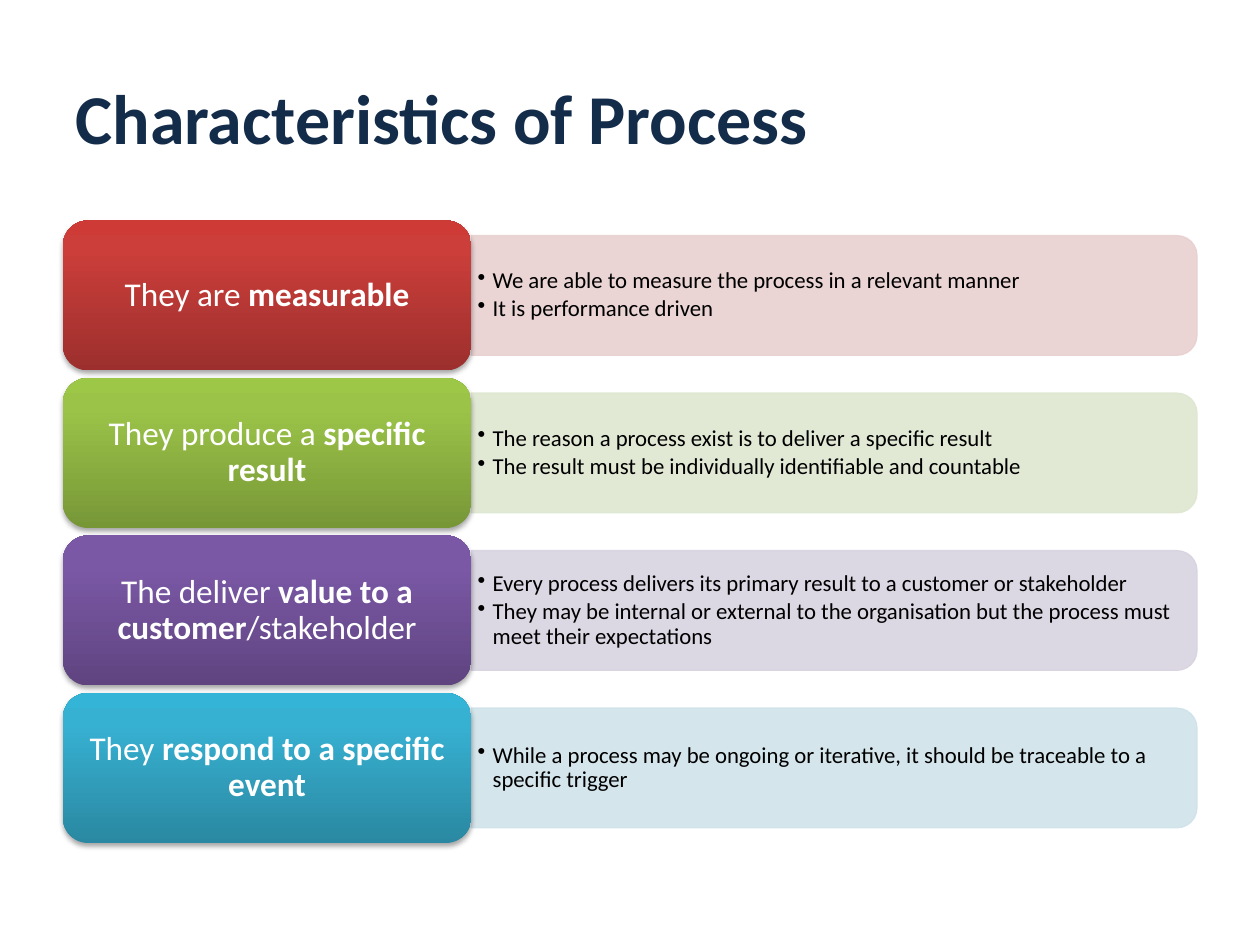
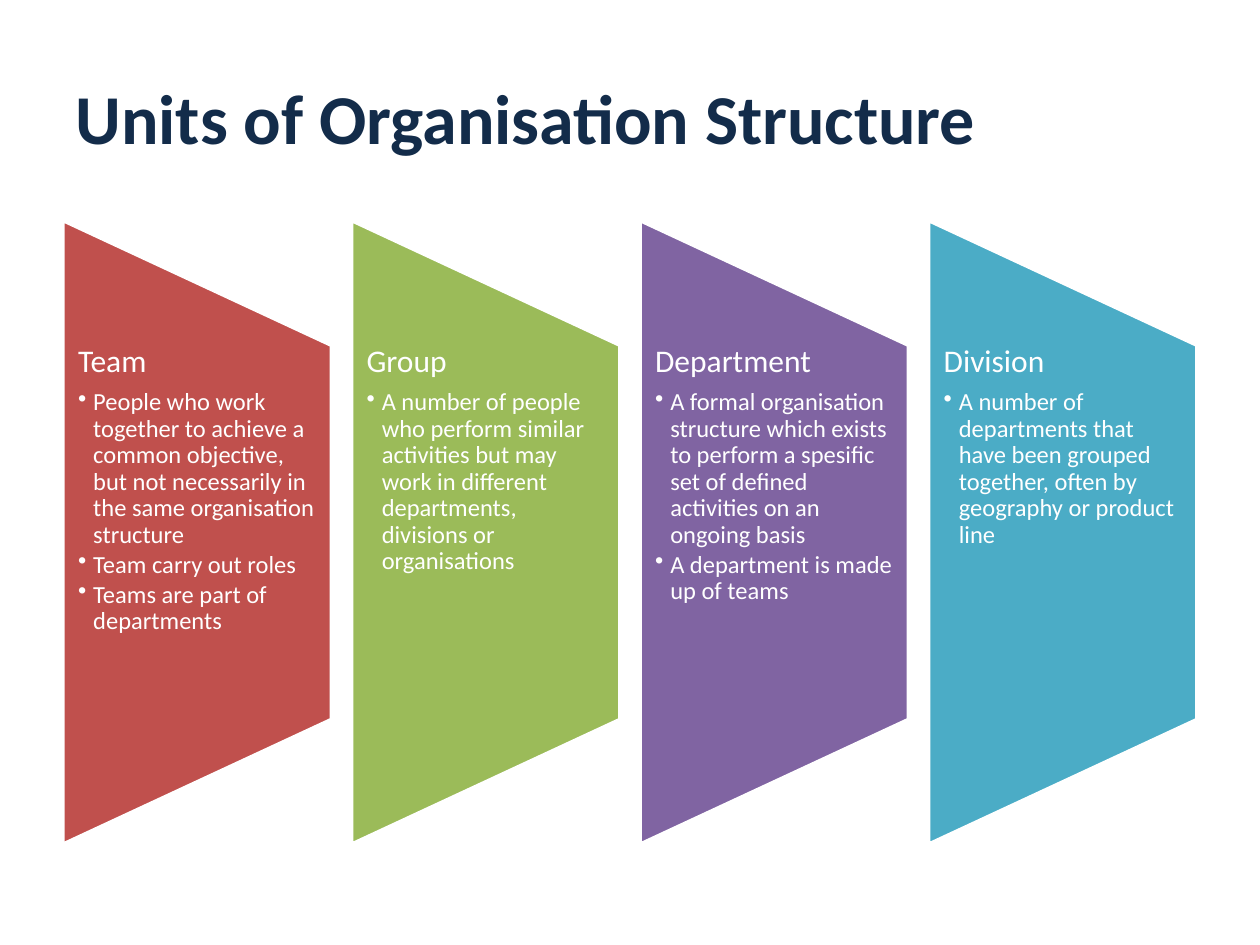
from copy import deepcopy

from lxml import etree
from pptx import Presentation
from pptx import util as u
from pptx.dml.color import RGBColor
from pptx.enum import shapes, text
from pptx.oxml.ns import qn

CHARACTERISTICS = {
    "title": "Characteristics of Process",
    "rows": [
        {"label": [("They are ", False), ("measurable", True)],
         "points": ["We are able to measure the process in a relevant manner",
                    "It is performance driven"],
         "tint": "E8D0D0", "gradient": ["9C2F2D", "CB3E3A", "CE3B37"]},
        {"label": [("They produce a ", False), ("specific result", True)],
         "points": ["The reason a process exist is to deliver a specific result",
                    "The result must be individually identifiable and countable"],
         "tint": "DEE7D1", "gradient": ["779737", "9BC348", "9DC746"]},
        {"label": [("The deliver ", False), ("value to a customer", True),
                   ("/stakeholder", False)],
         "points": ["Every process delivers its primary result to a customer or stakeholder",
                    "They may be internal or external to the organisation but the process "
                    "must meet their expectations"],
         "tint": "D8D3E0", "gradient": ["5F4480", "7B58A6", "7C57A8"]},
        {"label": [("They ", False), ("respond to a specific event", True)],
         "points": ["While a process may be ongoing or iterative, it should be traceable "
                    "to a specific trigger"],
         "tint": "D0E3EA", "gradient": ["2A88A2", "37B1D2", "34B4D6"]},
    ],
}

UNITS = {
    "title": "Units of Organisation Structure",
    "columns": [
        ("Team", "C0504D",
         ["People who work together to achieve a common objective, but not "
          "necessarily in the same organisation structure",
          "Team carry out roles", "Teams are part of departments"]),
        ("Group", "9BBB59",
         ["A number of people who perform similar activities but may work in "
          "different departments, divisions or organisations"]),
        ("Department", "8064A2",
         ["A formal organisation structure which exists to perform a spesific set "
          "of defined activities on an ongoing basis",
          "A department is made up of teams"]),
        ("Division", "4BACC6",
         ["A number of departments that have been grouped together, often by "
          "geography or product line"]),
    ],
}

FONT, NAVY, WHITE, BLACK = "Calibri", "132C4A", "FFFFFF", "000000"
PX = 9144
LEFT, TOP = 50, 175
STOPS = (0, 0.8, 1)
MSO = shapes.MSO_SHAPE


def px(n):
    return u.Emu(round(n * PX))


def rgb(code):
    return RGBColor.from_string(code)


def apply(target, values):
    for name, value in values.items():
        setattr(target, name, value)


def add_run(p, words, size, color, bold=False):
    r = p.add_run()
    r.text = words
    apply(r.font, {"name": FONT, "size": u.Pt(size), "bold": bold})
    r.font.color.rgb = rgb(color)


def frame(tf, inset, anchor):
    x, y = map(px, inset)
    apply(tf, {"word_wrap": True, "vertical_anchor": anchor, "margin_left": x,
               "margin_right": x, "margin_top": y, "margin_bottom": y})
    return tf


def add_bullets(paragraphs, points, size, color):
    for p, point in zip(paragraphs, points):
        pPr = p._p.get_or_add_pPr()
        pPr.set("marL", str(px(12)))
        pPr.set("indent", str(px(-12)))
        etree.SubElement(pPr, qn("a:buChar"), char="•")
        apply(p, {"line_spacing": 0.9, "space_after": u.Pt(2)})
        add_run(p, point, size, color)


def add_shape(s, kind, x, y, w, h, rotation=0):
    if rotation:
        x, y, w, h = x + (w - h) / 2, y + (h - w) / 2, h, w
    sp = s.shapes.add_shape(kind, px(x), px(y), px(w), px(h))
    sp.rotation = rotation
    sp.shadow.inherit = False
    return sp


def paint(sp, fill, line, width):
    sp.fill.solid()
    sp.fill.fore_color.rgb = rgb(fill)
    sp.line.color.rgb = rgb(line)
    sp.line.width = u.Pt(width)


def add_textbox(s, x, y, w, h, inset, anchor):
    sp = s.shapes.add_textbox(px(x), px(y), px(w), px(h))
    return frame(sp.text_frame, inset, anchor)


def add_bar(s, x, y, w, h, tint):
    sp = add_shape(s, MSO.ROUND_2_SAME_RECTANGLE, x, y, w, h, 90)
    paint(sp, tint, tint, 0.75)
    for color in sp._element.spPr.iter(qn("a:srgbClr")):
        etree.SubElement(color, qn("a:alpha"), val="90000")


def add_label(s, x, y, w, h, runs, gradient):
    sp = add_shape(s, MSO.ROUNDED_RECTANGLE, x, y, w, h)
    sp.line.fill.background()
    sp.fill.gradient()
    spPr = sp._element.spPr
    stops = spPr.find(".//" + qn("a:gsLst"))
    stops.append(deepcopy(stops[-1]))
    for stop, position, color in zip(sp.fill.gradient_stops, STOPS, gradient):
        stop.position = position
        stop.color.rgb = rgb(color)
    sp.fill.gradient_angle = 90
    shadow = etree.SubElement(spPr.find(qn("a:effectLst")), qn("a:outerShdw"),
                              blurRad=str(u.Pt(3.1)), dist=str(u.Pt(1.8)),
                              dir="5400000", rotWithShape="0")
    color = etree.SubElement(shadow, qn("a:srgbClr"), val=BLACK)
    etree.SubElement(color, qn("a:alpha"), val="35000")
    p = frame(sp.text_frame, (8, 4), text.MSO_ANCHOR.MIDDLE).paragraphs[0]
    apply(p, {"alignment": text.PP_ALIGN.CENTER, "line_spacing": 0.9})
    for words, bold in runs:
        add_run(p, words, 19, WHITE, bold)


def add_slide(prs, title):
    s = prs.slides.add_slide(prs.slide_layouts[5])
    sp = s.shapes.title
    apply(sp, {"left": px(50), "top": px(30), "width": px(900), "height": px(125)})
    sp.text_frame.vertical_anchor = text.MSO_ANCHOR.MIDDLE
    p = sp.text_frame.paragraphs[0]
    p.alignment = text.PP_ALIGN.LEFT
    add_run(p, title, 40, NAVY, True)
    return s


def build_characteristics(prs):
    s = add_slide(prs, CHARACTERISTICS["title"])
    label_w, label_h, bar_w, bar_h, pitch = 324, 119, 576, 95, 125
    bar_x = LEFT + label_w
    for i, row in enumerate(CHARACTERISTICS["rows"]):
        y = TOP + i * pitch
        bar_y = y + (label_h - bar_h) / 2
        add_bar(s, bar_x, bar_y, bar_w, bar_h, row["tint"])
        tf = add_textbox(s, bar_x, bar_y + 5, bar_w - 5, bar_h - 10, (5, 3),
                         text.MSO_ANCHOR.MIDDLE)
        paragraphs = [tf.paragraphs[0]] + [tf.add_paragraph() for _ in row["points"][1:]]
        add_bullets(paragraphs, row["points"], 13, BLACK)
        add_label(s, LEFT, y, label_w, label_h, row["label"], row["gradient"])


def build_units(prs):
    s = add_slide(prs, UNITS["title"])
    w, h, pitch = 213, 495, 229
    for i, (name, color, points) in enumerate(UNITS["columns"]):
        x = LEFT + i * pitch
        sp = add_shape(s, MSO.FLOWCHART_MANUAL_OPERATION, x, TOP, w, h, 270)
        paint(sp, color, WHITE, 2)
        tf = add_textbox(s, x, TOP + h / 5, w, h * 3 / 5, (12, 0), text.MSO_ANCHOR.TOP)
        p = tf.paragraphs[0]
        apply(p, {"line_spacing": 0.9, "space_after": u.Pt(6)})
        add_run(p, name, 18, WHITE)
        add_bullets([tf.add_paragraph() for _ in points], points, 14, WHITE)


def main():
    prs = Presentation()
    apply(prs, {"slide_width": px(1000), "slide_height": px(750)})
    build_characteristics(prs)
    build_units(prs)
    prs.save("out.pptx")


if __name__ == "__main__":
    main()
